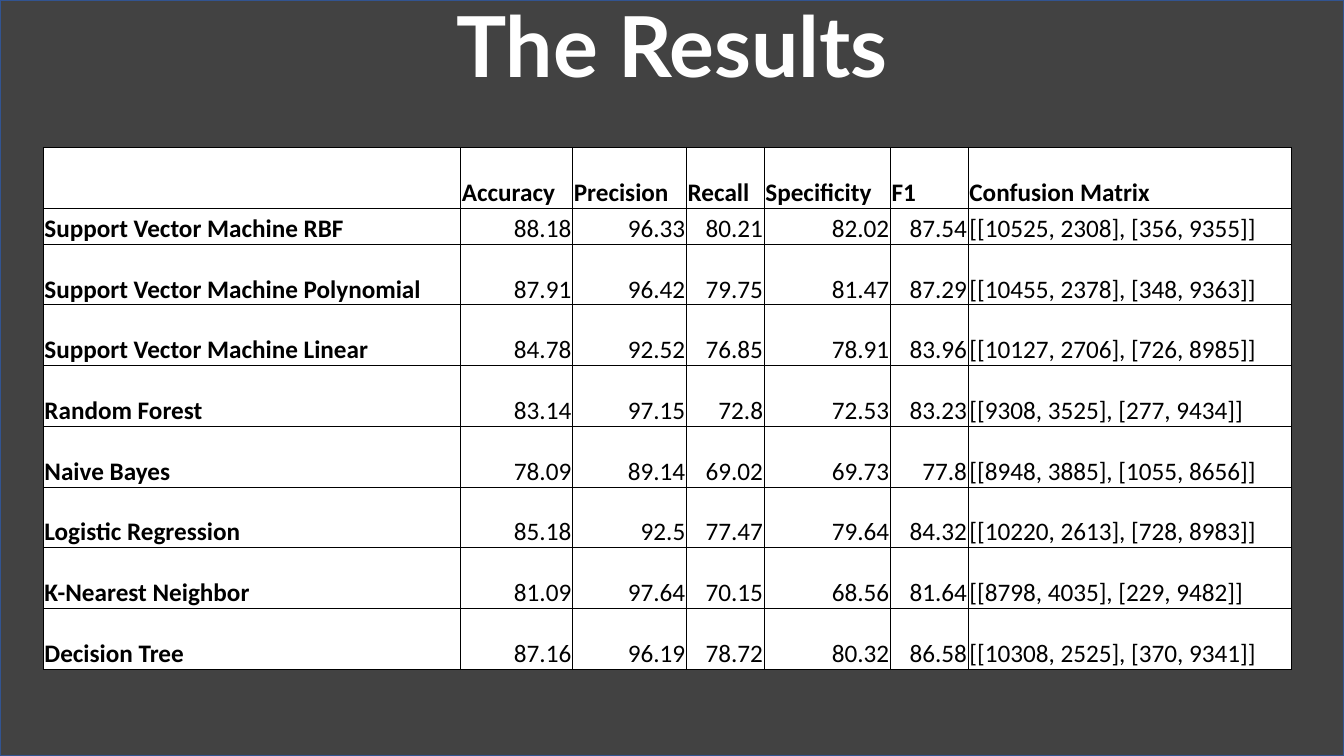
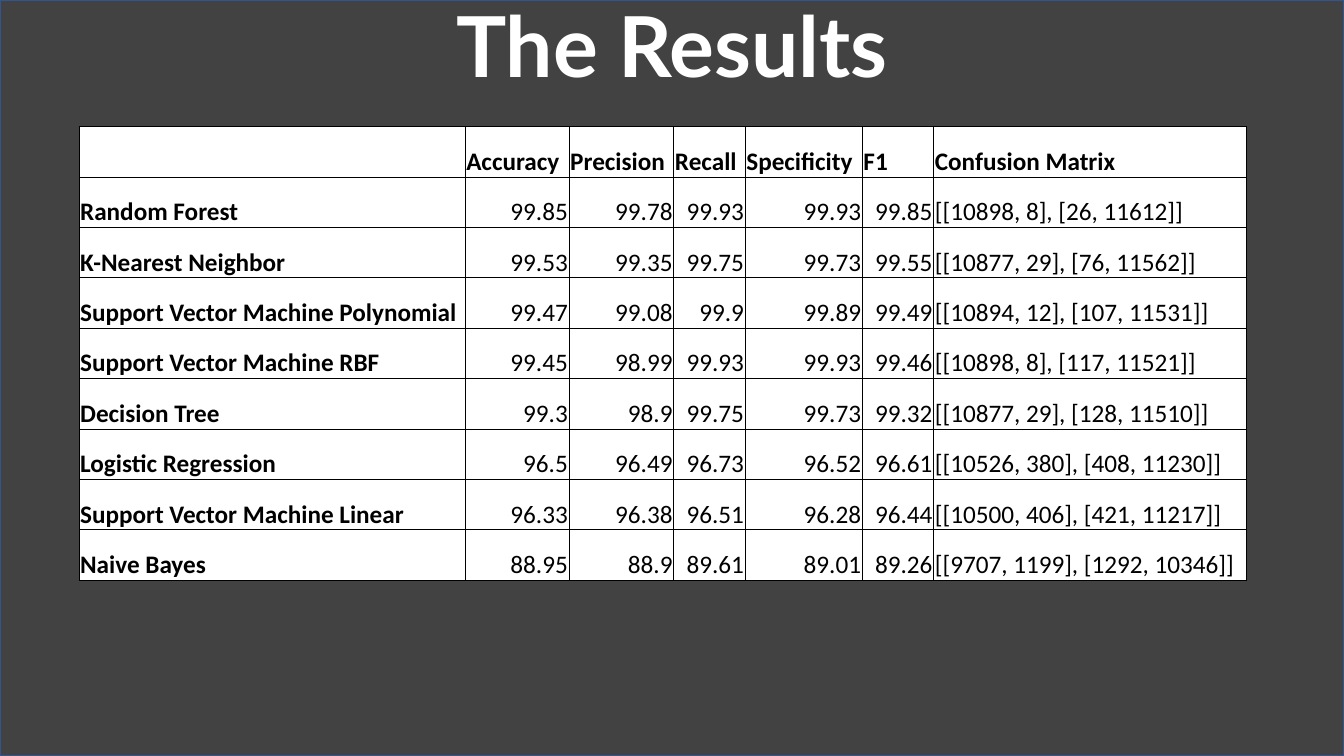
"""Build two slides comparing classifier results in tables."""
from dataclasses import dataclass
from typing import NamedTuple

from lxml.etree import SubElement
from pptx import Presentation
from pptx.dml.color import RGBColor
from pptx.enum.shapes import MSO_SHAPE as Preset
from pptx.enum.text import MSO_ANCHOR as Anchor, MSO_AUTO_SIZE as AutoSize, PP_ALIGN as Align
from pptx.oxml.ns import qn
from pptx.util import Cm, Pt

COLORS = {"ink": "000000", "paper": "FFFFFF", "edge": "325491"}
TITLE_FONT, TABLE_FONT = "Lato", "Calibri"
SLIDE_WIDTH, SLIDE_HEIGHT = Cm(33.87), Cm(19.05)
TITLE_HEIGHT = Cm(2.84)
CELL_MARGIN = Cm(0.03)
BACKDROP_ALPHA = "74000"
BACKDROP_ID = "20"
HEADINGS = ("", "Accuracy", "Precision", "Recall", "Specificity", "F1", "Confusion Matrix")


class Score(NamedTuple):
    model: str
    metrics: tuple[float, ...]
    confusion: list[list[int]]


@dataclass(frozen=True)
class Results:
    left: float
    top: float
    widths: tuple[float, ...]
    heights: tuple[float, ...]
    scores: tuple[Score, ...]


FIRST_RESULTS = Results(
    1.09, 3.71,
    (10.52, 2.82, 2.87, 1.96, 3.18, 1.96, 8.15),
    (1.53, 0.91) + (1.53,) * 7,
    (
        Score("Support Vector Machine RBF", (88.18, 96.33, 80.21, 82.02, 87.54),
              [[10525, 2308], [356, 9355]]),
        Score("Support Vector Machine Polynomial", (87.91, 96.42, 79.75, 81.47, 87.29),
              [[10455, 2378], [348, 9363]]),
        Score("Support Vector Machine Linear", (84.78, 92.52, 76.85, 78.91, 83.96),
              [[10127, 2706], [726, 8985]]),
        Score("Random Forest", (83.14, 97.15, 72.8, 72.53, 83.23),
              [[9308, 3525], [277, 9434]]),
        Score("Naive Bayes", (78.09, 89.14, 69.02, 69.73, 77.8),
              [[8948, 3885], [1055, 8656]]),
        Score("Logistic Regression", (85.18, 92.5, 77.47, 79.64, 84.32),
              [[10220, 2613], [728, 8983]]),
        Score("K-Nearest Neighbor", (81.09, 97.64, 70.15, 68.56, 81.64),
              [[8798, 4035], [229, 9482]]),
        Score("Decision Tree", (87.16, 96.19, 78.72, 80.32, 86.58),
              [[10308, 2525], [370, 9341]]),
    ),
)
SECOND_RESULTS = Results(
    1.99, 3.19,
    (9.73, 2.62, 2.64, 1.8, 2.95, 1.8, 7.87),
    (1.27,) * 9,
    (
        Score("Random Forest", (99.85, 99.78, 99.93, 99.93, 99.85),
              [[10898, 8], [26, 11612]]),
        Score("K-Nearest Neighbor", (99.53, 99.35, 99.75, 99.73, 99.55),
              [[10877, 29], [76, 11562]]),
        Score("Support Vector Machine Polynomial", (99.47, 99.08, 99.9, 99.89, 99.49),
              [[10894, 12], [107, 11531]]),
        Score("Support Vector Machine RBF", (99.45, 98.99, 99.93, 99.93, 99.46),
              [[10898, 8], [117, 11521]]),
        Score("Decision Tree", (99.3, 98.9, 99.75, 99.73, 99.32),
              [[10877, 29], [128, 11510]]),
        Score("Logistic Regression", (96.5, 96.49, 96.73, 96.52, 96.61),
              [[10526, 380], [408, 11230]]),
        Score("Support Vector Machine Linear", (96.33, 96.38, 96.51, 96.28, 96.44),
              [[10500, 406], [421, 11217]]),
        Score("Naive Bayes", (88.95, 88.9, 89.61, 89.01, 89.26),
              [[9707, 1199], [1292, 10346]]),
    ),
)


def color(key: str) -> RGBColor:
    return RGBColor.from_string(COLORS[key])


def add_run(paragraph, text: str, font: str, size: int, ink: str, bold: bool) -> None:
    run = paragraph.add_run()
    run.text = text
    run.font.name = font
    run.font.size = Pt(size)
    run.font.bold = bold
    run.font.color.rgb = color(ink)


def move_backdrop_to_layout(slide) -> None:
    backdrop = slide.shapes.add_shape(Preset.RECTANGLE, 0, 0, SLIDE_WIDTH, SLIDE_HEIGHT)
    backdrop.shadow.inherit = False
    backdrop.fill.solid()
    backdrop.fill.fore_color.rgb = color("ink")
    tint = backdrop.element.spPr.find(qn("a:solidFill")).find(qn("a:srgbClr"))
    SubElement(tint, qn("a:alpha"), val=BACKDROP_ALPHA)
    backdrop.line.color.rgb = color("edge")
    backdrop.line.width = Pt(1)
    backdrop.element.find(f".//{qn('p:cNvPr')}").set("id", BACKDROP_ID)
    slide.slide_layout.shapes.element.insert(2, backdrop.element)


def add_title(slide, text: str) -> None:
    title = slide.shapes.title
    title.left, title.top, title.width, title.height = 0, 0, SLIDE_WIDTH, TITLE_HEIGHT
    frame = title.text_frame
    frame.auto_size = AutoSize.NONE
    frame.vertical_anchor = Anchor.TOP
    paragraph = frame.paragraphs[0]
    paragraph.alignment = Align.CENTER
    paragraph.line_spacing = 0.9
    add_run(paragraph, text, TITLE_FONT, 60, "paper", True)


def format_cell(cell, text: str, bold: bool, alignment: Align) -> None:
    cell.vertical_anchor = Anchor.BOTTOM
    cell.margin_left = cell.margin_right = cell.margin_top = CELL_MARGIN
    cell.margin_bottom = 0
    properties = cell._tc.get_or_add_tcPr()
    for side in ("lnL", "lnR", "lnT", "lnB"):
        border = SubElement(properties, qn(f"a:{side}"), w=str(Pt(0.5)))
        SubElement(SubElement(border, qn("a:solidFill")), qn("a:srgbClr"), val=COLORS["ink"])
    cell.fill.solid()
    cell.fill.fore_color.rgb = color("paper")
    paragraph = cell.text_frame.paragraphs[0]
    paragraph.alignment = alignment
    if text:
        add_run(paragraph, text, TABLE_FONT, 18, "ink", bold)


def add_results(slide, results: Results) -> None:
    rows = [HEADINGS] + [
        (score.model, *map(str, score.metrics), str(score.confusion)) for score in results.scores
    ]
    table = slide.shapes.add_table(
        len(rows), len(HEADINGS), Cm(results.left), Cm(results.top),
        Cm(sum(results.widths)), Cm(sum(results.heights)),
    ).table
    table.first_row = table.horz_banding = False
    for column, width in zip(table.columns, results.widths):
        column.width = Cm(width)
    for row, height in zip(table.rows, results.heights):
        row.height = Cm(height)
    last_column = len(HEADINGS) - 1
    for row_index, values in enumerate(rows):
        for column_index, value in enumerate(values):
            is_metric = row_index > 0 and 0 < column_index < last_column
            format_cell(
                table.cell(row_index, column_index), value,
                row_index == 0 or column_index == 0,
                Align.RIGHT if is_metric else Align.LEFT,
            )


def main() -> None:
    deck = Presentation()
    deck.slide_width, deck.slide_height = SLIDE_WIDTH, SLIDE_HEIGHT
    title_only = deck.slide_layouts[5]
    for index, results in enumerate((FIRST_RESULTS, SECOND_RESULTS)):
        slide = deck.slides.add_slide(title_only)
        if index == 0:
            move_backdrop_to_layout(slide)
        add_title(slide, "The Results")
        add_results(slide, results)
    deck.save("out.pptx")


main()
